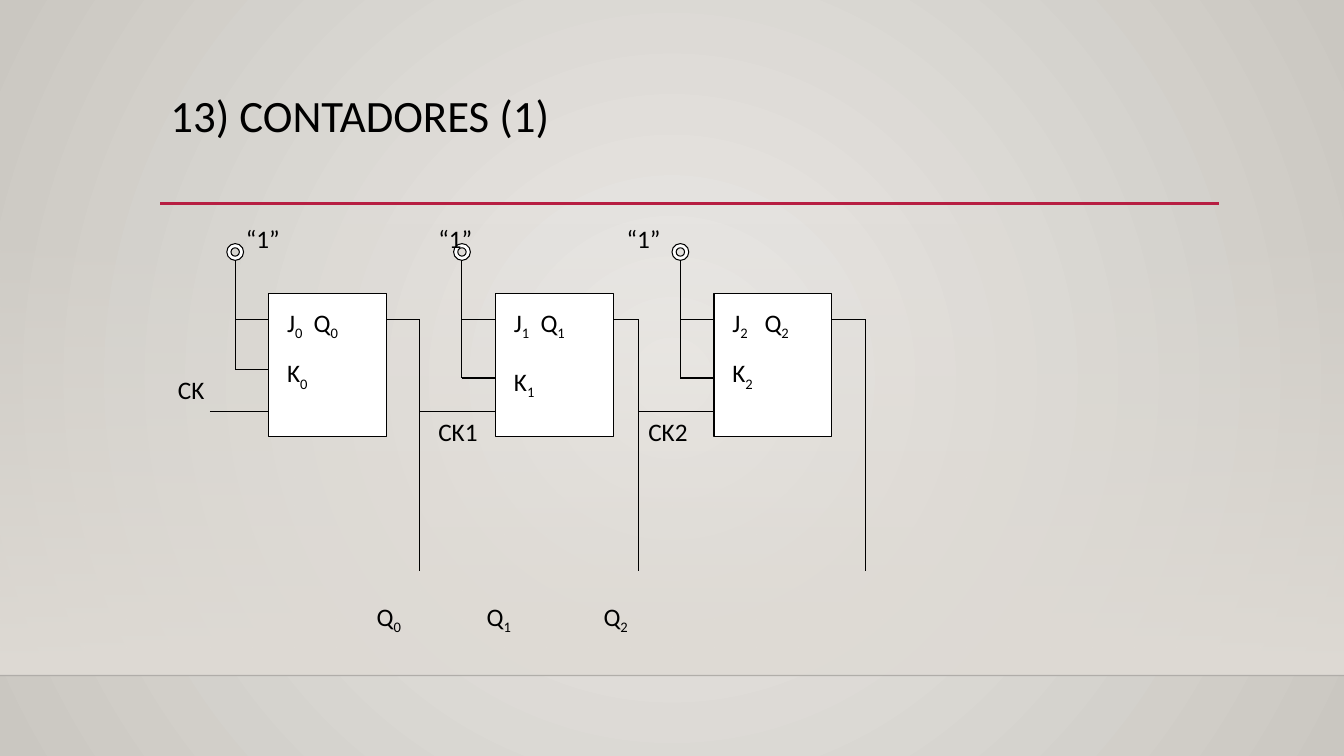
from pptx import Presentation
from pptx.dml.color import RGBColor
from pptx.enum import shapes, text
from pptx.oxml import parse_xml
from pptx.oxml.ns import nsdecls, qn
from pptx.util import Pt

BLACK = RGBColor(0, 0, 0)
WHITE = RGBColor(255, 255, 255)
RED = RGBColor(0xB7, 0x1E, 0x42)
FLOOR_EDGE = RGBColor(0, 0, 1)
CENTRE, RIM, FLOOR = (RGBColor.from_string(c) for c in ("ECEAE7", "CAC7C1", "DFDBD5"))
FONT = "Calibri"

WIDTH, HEIGHT = 960, 540
TITLE = "13) CONTADORES (1)"

# Flip-flops: left edge, K wire height, K label top, Q label left, output wire x
FLIP_FLOPS = [
    (192, 264, 252, 217, 300),
    (354, 270, 258, 379, 456),
    (510, 270, 252, 539, 618),
]
# Text, subscript, left, top
LABELS = [
    ("“1”", "", 168.5, 156), ("“1”", "", 306, 156), ("“1”", "", 440.5, 156),
    ("CK", "", 120, 264), ("CK1", "", 306, 294), ("CK2", "", 456, 294),
    ("Q", "0", 262, 426), ("Q", "1", 340.5, 426), ("Q", "2", 424, 426),
]
BOX_TOP, BOX_W, BOX_H = 210, 84, 102
J_Y, CLOCK_Y, OUTPUT_END = 228, 294, 408
INPUT_GAP = 24
RING_TOP, RING_SIZE = 174, 12


def gradient(parent, stops, direction):
    """Replace the solid fill of parent; stops are (position, colour, alpha) in percent."""
    gs = "".join(
        f'<a:gs pos="{pos * 1000}"><a:srgbClr val="{color}">'
        f'<a:alpha val="{alpha * 1000}"/></a:srgbClr></a:gs>'
        for pos, color, alpha in stops)
    fill = parse_xml(f'<a:gradFill {nsdecls("a")} rotWithShape="1">'
                     f'<a:gsLst>{gs}</a:gsLst>{direction}</a:gradFill>')
    parent.replace(parent.find(qn("a:solidFill")), fill)


def line(x1, y1, x2, y2, color=BLACK, width=0.75):
    c = s.shapes.add_connector(shapes.MSO_CONNECTOR.STRAIGHT,
                               Pt(x1), Pt(y1), Pt(x2), Pt(y2))
    c.line.color.rgb = color
    c.line.width = Pt(width)
    c._element.spPr.append(parse_xml(f'<a:effectLst {nsdecls("a")}/>'))
    return c


def shape(kind, x, y, w, h):
    sp = s.shapes.add_shape(kind, Pt(x), Pt(y), Pt(w), Pt(h))
    sp.shadow.inherit = False
    sp.fill.solid()
    sp.fill.fore_color.rgb = WHITE
    sp.line.color.rgb = BLACK
    sp.line.width = Pt(0.75)
    return sp


def label(name, subscript, x, y):
    tf = s.shapes.add_textbox(Pt(x), Pt(y), Pt(60), Pt(29)).text_frame
    tf.word_wrap = True
    p = tf.paragraphs[0]
    p.font.name, p.font.size, p.font.color.rgb = FONT, Pt(18), BLACK
    p.add_run().text = name
    if subscript:
        r = p.add_run()
        r.text = subscript
        r.font._element.set("baseline", "-25000")


def backdrop():
    s.background.fill.solid()
    gradient(s.element.find(".//" + qn("p:bgPr")), [(0, CENTRE, 100), (100, RIM, 100)],
             '<a:path path="circle"><a:fillToRect l="50000" t="50000" '
             'r="50000" b="50000"/></a:path>')
    band = shape(shapes.MSO_SHAPE.RECTANGLE, 0, 159, WIDTH, 323.5)
    band.line.fill.background()
    gradient(band._element.spPr, [(0, FLOOR, 0), (100, FLOOR, 100)],
             '<a:lin ang="5400000" scaled="0"/>')
    edge = line(0, 482.5, WIDTH, 482.5, FLOOR_EDGE, 1)
    color = edge._element.spPr.find(".//" + qn("a:srgbClr"))
    color.append(parse_xml(f'<a:alpha {nsdecls("a")} val="20000"/>'))
    line(114.5, 145.25, 871, 145.25, RED, 2.5)


def title():
    sp = s.shapes.title
    sp.left, sp.top, sp.width, sp.height = Pt(114.5), Pt(63.5), Pt(756), Pt(82.5)
    tf = sp.text_frame
    tf.text = TITLE
    tf.vertical_anchor = text.MSO_ANCHOR.TOP
    p = tf.paragraphs[0]
    p.alignment = text.PP_ALIGN.LEFT
    p.line_spacing = 0.9
    p.font.name, p.font.size, p.font.color.rgb = FONT, Pt(32), BLACK


def flip_flop(index, left, k_y, k_top, q_left, output_x, clock_x):
    input_x = left - INPUT_GAP
    shape(shapes.MSO_SHAPE.RECTANGLE, left, BOX_TOP, BOX_W, BOX_H)
    line(input_x, k_y, input_x, RING_TOP + RING_SIZE)
    for y in (J_Y, k_y):
        line(input_x, y, left, y)
    line(clock_x, CLOCK_Y, left, CLOCK_Y)
    line(left + BOX_W, J_Y, output_x, J_Y)
    line(output_x, J_Y, output_x, OUTPUT_END)
    ring = shape(shapes.MSO_SHAPE.DONUT, input_x - RING_SIZE / 2, RING_TOP,
                 RING_SIZE, RING_SIZE)
    ring.adjustments[0] = 0.25
    label("J", str(index), left + 6, 216)
    label("Q", str(index), q_left, 216)
    label("K", str(index), left + 6, k_top)


prs = Presentation()
prs.slide_width, prs.slide_height = Pt(WIDTH), Pt(HEIGHT)
s = prs.slides.add_slide(prs.slide_layouts[5])
backdrop()
title()
clock_x = 150
for index, data in enumerate(FLIP_FLOPS):
    flip_flop(index, *data, clock_x)
    clock_x = data[-1]  # each output clocks the next stage
for item in LABELS:
    label(*item)
prs.save("out.pptx")
